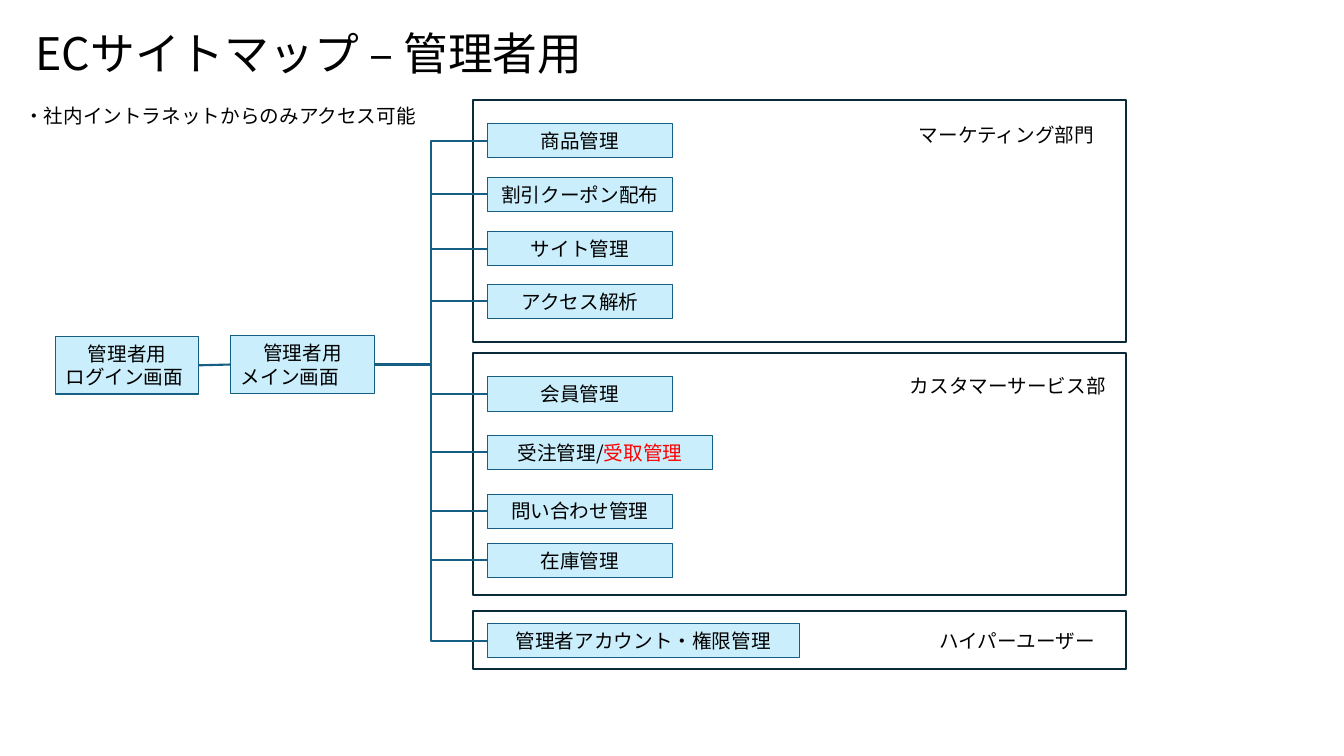
from lxml import etree
from pptx import Presentation
from pptx.dml.color import RGBColor
from pptx.enum.shapes import MSO_CONNECTOR, MSO_SHAPE
from pptx.enum.text import MSO_ANCHOR
from pptx.oxml.ns import qn
from pptx.util import Cm, Pt

RECTANGLE = MSO_SHAPE.RECTANGLE
STRAIGHT, ELBOW = MSO_CONNECTOR.STRAIGHT, MSO_CONNECTOR.ELBOW
TOP, MIDDLE = MSO_ANCHOR.TOP, MSO_ANCHOR.MIDDLE

FONT = "Noto Sans CJK JP"
COLORS = {"text": "000000", "alert": "FF0000", "page": "CAEEFB",
          "link": "156082", "panel": "092A39"}

TITLE = "ECサイトマップ – 管理者用"
NOTE = "・社内イントラネットからのみアクセス可能"
LOGIN = {"lines": ["管理者用", "ログイン画面"], "left": 1.4, "top": 8.48}
MAIN = {"lines": ["管理者用", "メイン画面"], "left": 5.82, "top": 8.46}
DEPARTMENTS = [
    {"name": "マーケティング部門", "label": (22.91, 2.97, 5.0), "top": 2.51, "height": 6.1,
     "pages": [("商品管理", "", 3.12, 4.65), ("割引クーポン配布", "", 4.47, 4.65),
               ("サイト管理", "", 5.84, 4.65), ("アクセス解析", "", 7.16, 4.65)]},
    {"name": "カスタマーサービス部", "label": (22.68, 9.3, 5.51), "top": 8.89, "height": 6.1,
     "pages": [("会員管理", "", 9.5, 4.65), ("受注管理/", "受取管理", 10.97, 5.66),
               ("問い合わせ管理", "", 12.45, 4.65), ("在庫管理", "", 13.69, 4.65)]},
    {"name": "ハイパーユーザー", "label": (23.42, 15.72, 4.5), "top": 15.39, "height": 1.47,
     "pages": [("管理者アカウント・権限管理", "", 15.72, 7.85)]},
]

SCREEN_WIDTH, SCREEN_HEIGHT = 3.61, 1.45
PANEL_LEFT, PANEL_WIDTH = 11.91, 16.46
PAGE_LEFT, PAGE_HEIGHT = 12.29, 0.86


def color(name):
    return RGBColor.from_string(COLORS[name])


def write(shape, lines, size=14, anchor=TOP, wrap=False):
    frame = shape.text_frame
    frame.word_wrap = wrap
    frame.vertical_anchor = anchor
    for index, line in enumerate(lines):
        paragraph = frame.paragraphs[0] if index == 0 else frame.add_paragraph()
        paragraph.add_run().text = line
        paragraph.font.size = Pt(size)
        paragraph.font.name = FONT
        paragraph.font.color.rgb = color("text")
        defaults = paragraph._p.pPr.find(qn("a:defRPr"))
        etree.SubElement(defaults, qn("a:ea"), typeface=FONT)
    return frame


def add_text(slide, text, left, top, width, height=PAGE_HEIGHT, **style):
    box = slide.shapes.add_textbox(Cm(left), Cm(top), Cm(width), Cm(height))
    return write(box, [text], **style)


def add_rectangle(slide, left, top, width, height, line, weight):
    shape = slide.shapes.add_shape(RECTANGLE, Cm(left), Cm(top), Cm(width), Cm(height))
    shape.shadow.inherit = False
    shape.fill.background()
    shape.line.color.rgb = color(line)
    shape.line.width = Pt(weight)
    return shape


def add_page(slide, lines, left, top, width, height):
    shape = add_rectangle(slide, left, top, width, height, "link", 0.75)
    shape.fill.solid()
    shape.fill.fore_color.rgb = color("page")
    return write(shape, lines, anchor=MIDDLE)


def add_link(slide, kind, start, end):
    link = slide.shapes.add_connector(kind, *map(Cm, start + end))
    link.line.color.rgb = color("link")
    link.line.width = Pt(1.5)
    etree.SubElement(link._element.spPr, qn("a:effectLst"))


def add_department(slide, department, start):
    add_rectangle(slide, PANEL_LEFT, department["top"], PANEL_WIDTH,
                  department["height"], "panel", 1.5)
    add_text(slide, department["name"], *department["label"])
    for text, alert, top, width in department["pages"]:
        frame = add_page(slide, [text], PAGE_LEFT, top, width, PAGE_HEIGHT)
        if alert:
            run = frame.paragraphs[0].add_run()
            run.text = alert
            run.font.color.rgb = color("alert")
        add_link(slide, ELBOW, start, (PAGE_LEFT, top + PAGE_HEIGHT / 2))


def main():
    presentation = Presentation()
    presentation.slide_width, presentation.slide_height = Cm(33.87), Cm(19.05)
    slide = presentation.slides.add_slide(presentation.slide_layouts[6])

    title = add_text(slide, TITLE, 0.56, 0.46, 31.55, 2.13, size=32, wrap=True)
    title.margin_left = title.margin_right = Cm(0.33)
    title.margin_top = title.margin_bottom = Cm(0.33)
    title.paragraphs[0].line_spacing = 0.9
    add_text(slide, NOTE, 0.36, 2.49, 10.49)

    for screen in (LOGIN, MAIN):
        add_page(slide, screen["lines"], screen["left"], screen["top"],
                 SCREEN_WIDTH, SCREEN_HEIGHT)
    login_exit, main_exit = [
        (screen["left"] + SCREEN_WIDTH, screen["top"] + SCREEN_HEIGHT / 2)
        for screen in (LOGIN, MAIN)]
    add_link(slide, STRAIGHT, login_exit, (MAIN["left"], main_exit[1]))

    for department in DEPARTMENTS:
        add_department(slide, department, main_exit)
    presentation.save("out.pptx")


if __name__ == "__main__":
    main()
